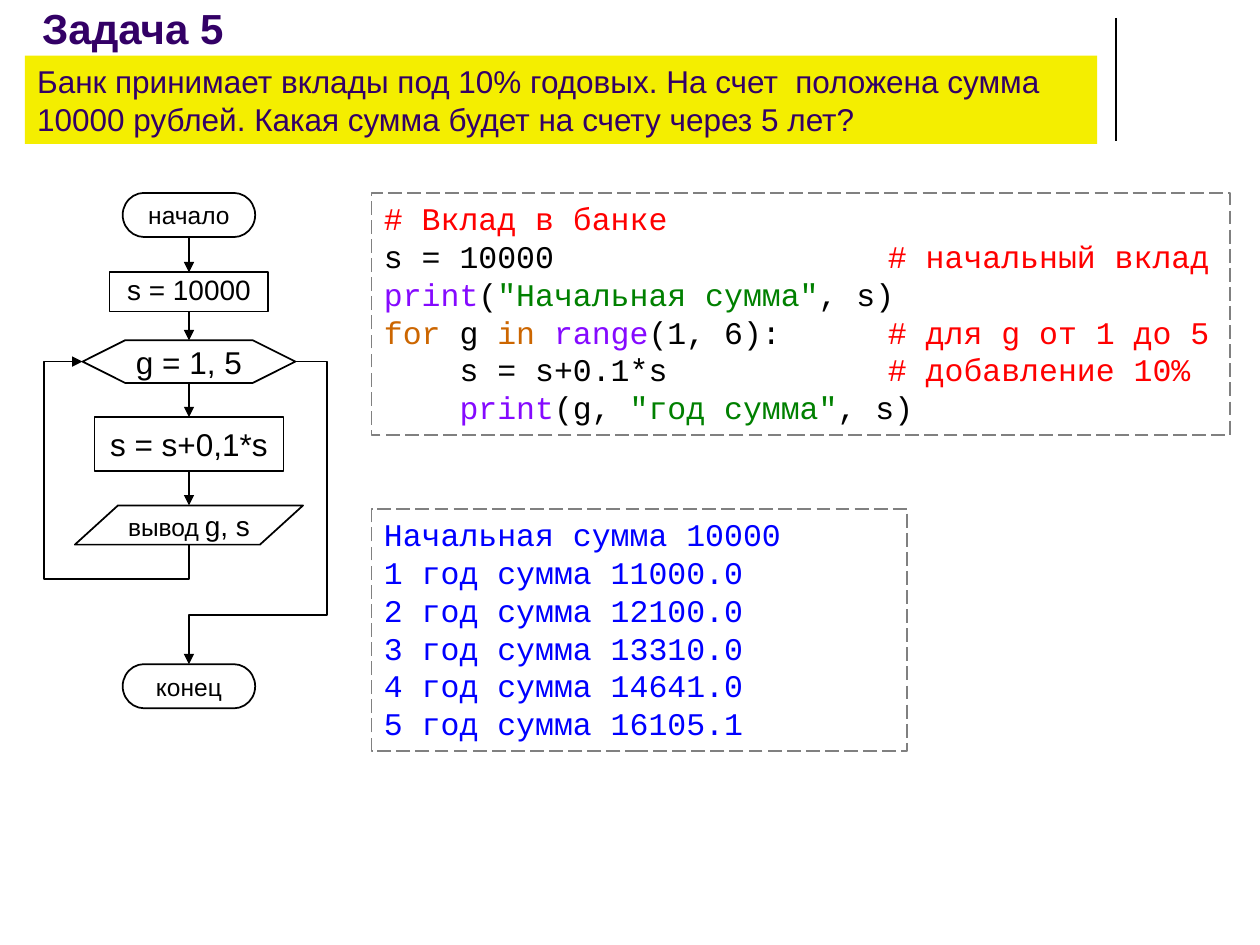
import pptx
import pptx.util
import pptx.dml.color
import pptx.enum.dml
import pptx.enum.shapes
import pptx.enum.text
import pptx.oxml.ns
import lxml.etree
from dataclasses import dataclass

Cm = pptx.util.Cm
SHAPE = pptx.enum.shapes.MSO_SHAPE
ALIGN = pptx.enum.text.PP_ALIGN
ANCHOR = pptx.enum.text.MSO_ANCHOR


@dataclass
class Theme:
    heading: str = "330066"
    banner: str = "F4EE00"
    ink: str = "000000"
    paper: str = "FFFFFF"
    frame: str = "808080"
    comment: str = "FF0000"
    builtin: str = "850AFF"
    string: str = "008000"
    keyword: str = "CC6600"
    output: str = "0000FF"
    sans: str = "Arial"
    mono: str = "Courier New"
    title: int = 24
    body: int = 18
    step: int = 16
    label: int = 14
    gap: int = 12


theme = Theme()


def add_runs(paragraph, runs, font_name):
    """Each run is (text, size, colour)."""
    for text, size, colour in runs:
        run = paragraph.add_run()
        run.text = text
        run.font.name = font_name
        run.font.size = pptx.util.Pt(size)
        run.font.color.rgb = pptx.dml.color.RGBColor.from_string(colour)


def style_line(item, colour, width=1, arrow=False):
    item.line.color.rgb = pptx.dml.color.RGBColor.from_string(colour)
    item.line.width = pptx.util.Pt(width)
    if arrow:
        lxml.etree.SubElement(item.line._get_or_add_ln(),
                              pptx.oxml.ns.qn("a:tailEnd"), type="triangle")
    # An empty effect list removes the shadow
    properties = item._element.spPr
    if properties.find(pptx.oxml.ns.qn("a:effectLst")) is None:
        lxml.etree.SubElement(properties, pptx.oxml.ns.qn("a:effectLst"))


deck = pptx.Presentation()
deck.slide_width, deck.slide_height = Cm(25.4), Cm(19.05)
slide = deck.slides.add_slide(deck.slide_layouts[6])
shapes = slide.shapes

# Rule at the top right
corner_rule = shapes.add_connector(pptx.enum.shapes.MSO_CONNECTOR.STRAIGHT,
                                   Cm(22.5), Cm(0.36), Cm(22.5), Cm(2.85))
style_line(corner_rule, theme.ink, 0.75)

# Title
title = shapes.add_textbox(Cm(0.6), Cm(0), Cm(20.95), Cm(1.19))
title.text_frame.word_wrap = True
title.text_frame.vertical_anchor = ANCHOR.BOTTOM
add_runs(title.text_frame.paragraphs[0],
         [("Задача 5", theme.title, theme.heading)], theme.sans)
title.text_frame.paragraphs[0].runs[0].font.bold = True

# Problem statement
problem = shapes.add_shape(SHAPE.RECTANGLE, Cm(0.5), Cm(1.12), Cm(21.62), Cm(1.78))
problem.shadow.inherit = False
problem.fill.solid()
problem.fill.fore_color.rgb = pptx.dml.color.RGBColor.from_string(theme.banner)
problem.line.fill.background()
problem.text_frame.word_wrap = True
problem.text_frame.vertical_anchor = ANCHOR.TOP
problem.text_frame.paragraphs[0].alignment = ALIGN.LEFT
add_runs(problem.text_frame.paragraphs[0],
         [("Банк принимает вклады под 10% годовых. На счет  положена сумма "
           "10000 рублей. Какая сумма будет на счету через 5 лет?",
           theme.body, theme.heading)], theme.sans)

# Flowchart steps, all centred on one axis: kind, top, width, height, runs
axis = Cm(3.81)
steps = [
    (SHAPE.FLOWCHART_TERMINATOR, 3.89, 2.67, 0.89, [("начало", theme.label)]),
    (SHAPE.RECTANGLE, 5.49, 3.2, 0.79, [("s = 10000", theme.step)]),
    (SHAPE.FLOWCHART_PREPARATION, 6.86, 4.29, 0.86, [("g = 1, 5", theme.body)]),
    (SHAPE.RECTANGLE, 8.41, 3.81, 1.09, [("s = s+0,1*s", theme.body)]),
    (SHAPE.PARALLELOGRAM, 10.19, 4.6, 0.79,
     [("вывод", theme.label), (" ", theme.gap), ("g, s", theme.step)]),
    (SHAPE.FLOWCHART_TERMINATOR, 13.39, 2.67, 0.89, [("конец", theme.label)]),
]
flow = []
for kind, top, width, height, runs in steps:
    step = shapes.add_shape(kind, axis - Cm(width / 2), Cm(top), Cm(width), Cm(height))
    step.shadow.inherit = False
    step.fill.solid()
    step.fill.fore_color.rgb = pptx.dml.color.RGBColor.from_string(theme.paper)
    style_line(step, theme.ink)
    frame = step.text_frame
    frame.margin_left = frame.margin_right = frame.margin_top = frame.margin_bottom = 0
    frame.word_wrap = True
    frame.vertical_anchor = ANCHOR.MIDDLE
    frame.paragraphs[0].alignment = ALIGN.CENTER
    add_runs(frame.paragraphs[0],
             [(text, size, theme.ink) for text, size in runs], theme.sans)
    flow.append(step)
start, deposit, cycle, interest, printing, finish = flow
deposit.text_frame.vertical_anchor = ANCHOR.TOP
printing.adjustments[0] = 1.1

# Arrows between consecutive steps
for upper, lower in zip(flow[:4], flow[1:5]):
    arrow = shapes.add_connector(pptx.enum.shapes.MSO_CONNECTOR.STRAIGHT,
                                 axis, upper.top + upper.height, axis, lower.top)
    arrow.begin_connect(upper, 2)
    if lower is not printing:
        arrow.end_connect(lower, 0)
    style_line(arrow, theme.ink, arrow=True)

# Loop back to the cycle header, and the way out of the cycle
cycle_middle = cycle.top + cycle.height // 2
loop_left, loop_bottom = Cm(0.89), Cm(11.68)
exit_right, exit_bottom = Cm(6.6), Cm(12.4)
routes = [
    [(axis, printing.top + printing.height), (axis, loop_bottom),
     (loop_left, loop_bottom), (loop_left, cycle_middle), (cycle.left, cycle_middle)],
    [(cycle.left + cycle.width, cycle_middle), (exit_right, cycle_middle),
     (exit_right, exit_bottom), (axis, exit_bottom), (axis, finish.top)],
]
for route in routes:
    builder = shapes.build_freeform(*route[0])
    builder.add_line_segments(route[1:], close=False)
    branch = builder.convert_to_shape()
    branch.shadow.inherit = False
    branch.fill.background()
    style_line(branch, theme.ink, arrow=True)

# Program and its output, as lines of (text, colour)
ink, comment = theme.ink, theme.comment
program = [
    [("# Вклад в банке", comment)],
    [("s = 10000\t", ink), ("# начальный вклад", comment)],
    [("print", theme.builtin), ("(", ink), ('"Начальная сумма"', theme.string), (", s)", ink)],
    [("for", theme.keyword), (" g ", ink), ("in ", theme.keyword),
     ("range", theme.builtin), ("(1, 6):\t", ink), ("# для g от 1 до 5", comment)],
    [("    s = s+0.1*s\t", ink), ("# добавление 10%", comment)],
    [("    ", ink), ("print", theme.builtin), ("(g, ", ink),
     ('"год сумма"', theme.string), (", s)", ink)],
]
output = [[(line, theme.output)] for line in (
    "Начальная сумма 10000", "1 год сумма 11000.0", "2 год сумма 12100.0",
    "3 год сумма 13310.0", "4 год сумма 14641.0", "5 год сумма 16105.1")]

for lines, top, width in ((program, 3.89, 17.3), (output, 10.26, 10.8)):
    listing = shapes.add_shape(SHAPE.RECTANGLE, Cm(7.49), Cm(top), Cm(width), Cm(4.88))
    listing.shadow.inherit = False
    listing.fill.background()
    style_line(listing, theme.frame)
    listing.line.dash_style = pptx.enum.dml.MSO_LINE.LONG_DASH
    frame = listing.text_frame
    frame.word_wrap = True
    frame.vertical_anchor = ANCHOR.TOP
    for number, line in enumerate(lines):
        paragraph = frame.add_paragraph() if number else frame.paragraphs[0]
        paragraph.alignment = ALIGN.LEFT
        if any("\t" in text for text, colour in line):
            tabs = lxml.etree.SubElement(paragraph._p.get_or_add_pPr(),
                                         pptx.oxml.ns.qn("a:tabLst"))
            lxml.etree.SubElement(tabs, pptx.oxml.ns.qn("a:tab"),
                                  pos=str(Cm(10.16)), algn="l")
        add_runs(paragraph, [(text, theme.body, colour) for text, colour in line], theme.mono)

deck.save("out.pptx")
